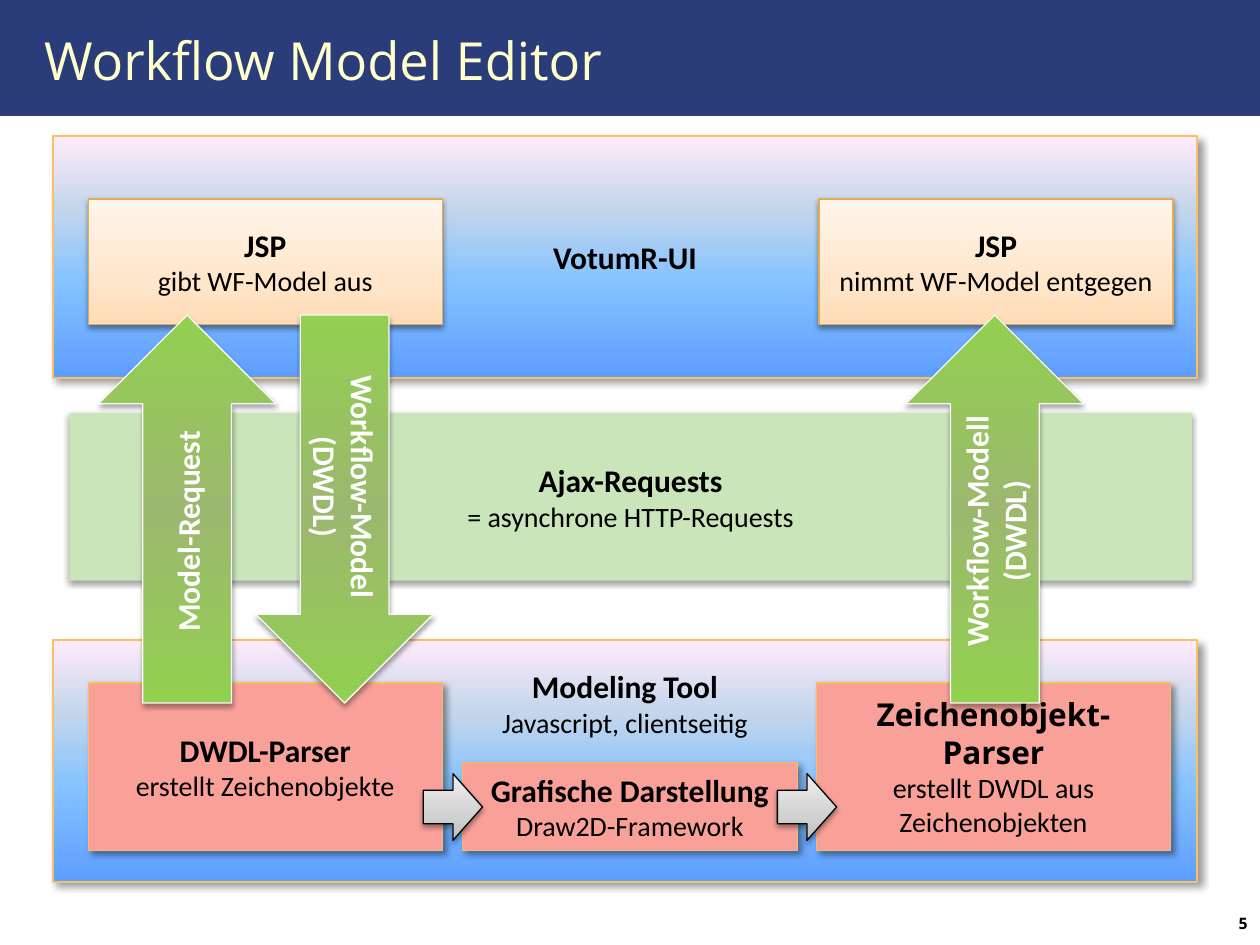
from lxml import etree
from pptx import Presentation
from pptx.dml.color import RGBColor
from pptx.enum.shapes import MSO_SHAPE
from pptx.enum.text import MSO_ANCHOR, PP_ALIGN
from pptx.oxml.ns import qn
from pptx.util import Inches, Pt

RECTANGLE, DOWN_ARROW, RIGHT_ARROW = (
    MSO_SHAPE.RECTANGLE, MSO_SHAPE.DOWN_ARROW, MSO_SHAPE.RIGHT_ARROW)
LEFT, CENTER, RIGHT = PP_ALIGN.LEFT, PP_ALIGN.CENTER, PP_ALIGN.RIGHT
MIDDLE, BOTTOM = MSO_ANCHOR.MIDDLE, MSO_ANCHOR.BOTTOM

# The slide is a grid of 100 columns by 75 rows
COLUMNS, ROWS, CELL = 100, 75, 0.1
BODY_FONT, TITLE_FONT = "Calibri", "Open Sans"
COLORS = {
    "bar": "2A3D7A", "title": "FFFFCC", "black": "000000", "white": "FFFFFF",
    "ajax": "C9E5B9", "parser": "F9A099", "parser_line": "F8BE5E",
    "panel_line": "FAC164", "jsp_line": "E1AC55", "flow_line": "F9F9F9",
}
# Gradient stops run from the bottom edge to the top edge
GRADIENTS = {
    "panel": [(0, "5E9EFF"), (40, "85C2FF"), (70, "C4D6EB"), (100, "FFEBFA")],
    "jsp": [(0, "FFDCB6"), (35, "FFE6CB"), (100, "FFF5EB")],
    "flow": [(0, "92D050"), (50, "9CB86E"), (100, "92D050")],
    "step": [(0, "BDBDBD"), (35, "D1D1D1"), (100, "EEEEEE")],
}
# Shadows: opacity in percent, blur and distance in points, direction in degrees
DIAGONAL, BELOW, FLOW_SHADOW = (40, 4, 3, 45), (38, 3.1, 1.6, 90), (35, 3.1, 1.8, 90)


def grid(*cells):
    return [Inches(cell * CELL) for cell in cells]


def inside(box, left, top, width, height):
    return box[0] + left, box[1] + top, width, height


def color(name):
    return RGBColor.from_string(COLORS[name])


def add_shadow(shape, opacity, blur, distance, direction):
    effects = shape.element.spPr.find(qn("a:effectLst"))
    shadow = etree.SubElement(
        effects, qn("a:outerShdw"), blurRad=str(Pt(blur)), dist=str(Pt(distance)),
        dir=str(direction * 60000), algn="ctr", rotWithShape="0")
    shade = etree.SubElement(shadow, qn("a:srgbClr"), val=COLORS["black"])
    etree.SubElement(shade, qn("a:alpha"), val=str(opacity * 1000))


def fill_gradient(shape, stops):
    shape.fill.gradient()
    shape.fill.gradient_angle = 90
    stop_list = shape.element.spPr.find(qn("a:gradFill")).find(qn("a:gsLst"))
    for stop in list(stop_list):
        stop_list.remove(stop)
    for position, value in stops:
        stop = etree.SubElement(stop_list, qn("a:gs"), pos=str(position * 1000))
        etree.SubElement(stop, qn("a:srgbClr"), val=value)


def add_block(slide, box, fill, line=None, shadow=None, kind=RECTANGLE):
    shape = slide.shapes.add_shape(kind, *grid(*box))
    shape.shadow.inherit = False
    if fill in GRADIENTS:
        fill_gradient(shape, GRADIENTS[fill])
    else:
        shape.fill.solid()
        shape.fill.fore_color.rgb = color(fill)
    if line:
        shape.line.color.rgb = color(line)
        shape.line.width = Pt(0.75)
    else:
        shape.line.fill.background()
    if shadow:
        add_shadow(shape, *shadow)
    return shape


def write(shape, *lines, sizes=(18, 16), bold=(True, False), fonts=(BODY_FONT, BODY_FONT),
          tone="black", align=CENTER, anchor=MIDDLE, wrap=True):
    frame = shape.text_frame
    frame.text = "\n".join(lines)
    frame.word_wrap = wrap
    frame.vertical_anchor = anchor
    for paragraph, size, strong, name in zip(frame.paragraphs, sizes, bold, fonts):
        paragraph.alignment = align
        font = paragraph.runs[0].font
        font.size, font.bold, font.name = Pt(size), strong, name
        font.color.rgb = color(tone)


def add_header(slide, box):
    bar = add_block(slide, box, "bar")
    title = slide.shapes.title
    title.element.addprevious(bar.element)  # the bar lies behind the title
    title.left, title.top, title.width, title.height = grid(*inside(box, 2.5, 1, 95.8, 6.7))
    write(title, "Workflow Model Editor", sizes=[30], bold=[False], fonts=[TITLE_FONT],
          tone="title", align=LEFT, anchor=BOTTOM)


def add_page_number(slide, box):
    number = slide.shapes.add_textbox(*grid(*box))
    write(number, "5", sizes=[9], fonts=[TITLE_FONT], align=RIGHT, anchor=BOTTOM)


def add_user_interface(slide, box):
    panel = add_block(slide, box, "panel", "panel_line", DIAGONAL)
    write(panel, "VotumR-UI", wrap=False)
    for left, task in ((2.8, "gibt WF-Model aus"), (60.8, "nimmt WF-Model entgegen")):
        page = add_block(slide, inside(box, left, 5, 28.1, 9.95), "jsp", "jsp_line", BELOW)
        write(page, "JSP", task)


def add_ajax_layer(slide, box):
    layer = add_block(slide, box, "ajax", shadow=BELOW)
    write(layer, "Ajax-Requests", "= asynchrone HTTP-Requests")


def add_modeling_tool(slide, box):
    panel = add_block(slide, box, "panel", "panel_line", DIAGONAL)
    write(panel, "Modeling Tool", "Javascript, clientseitig", wrap=False)
    panel.text_frame.margin_bottom = Inches(0.97)  # lifts the text above the middle box

    middle = inside(box, 32.5, 9.7, 26.6, 7)
    parts = (
        (inside(box, 2.8, 3.4, 28.1, 13.3), BODY_FONT,
         "DWDL-Parser", "erstellt Zeichenobjekte"),
        (inside(box, 60.6, 3.4, 28.1, 13.3), TITLE_FONT,
         "Zeichenobjekt-Parser", "erstellt DWDL aus Zeichenobjekten"),
        (middle, BODY_FONT, "Grafische Darstellung", "Draw2D-Framework"),
    )
    for part, heading_font, heading, detail in parts:
        shape = add_block(slide, part, "parser", "parser_line", DIAGONAL)
        write(shape, heading, detail, fonts=(heading_font, BODY_FONT))

    # Steps into and out of the middle box
    for left in (-3.1, middle[2] - 1.6):
        add_block(slide, inside(middle, left, 0.9, 4.7, 5.3), "step", "black", BELOW, RIGHT_ARROW)


def add_flows(slide, box):
    flows = (
        (0, 180, ["Model-Request"]),
        (12.5, 0, ["Workflow-Model", "(DWDL)"]),
        (64.1, 180, ["Workflow-Modell", "(DWDL)"]),
    )
    for left, rotation, lines in flows:
        arrow = add_block(slide, inside(box, left, 0, 14.1, box[3]), "flow", "flow_line",
                          FLOW_SHADOW, DOWN_ARROW)
        arrow.rotation = rotation
        write(arrow, *lines, sizes=(18, 18), bold=(True, True), tone="white")
        arrow.text_frame._txBody.bodyPr.set("vert", "vert")


def main():
    presentation = Presentation()
    presentation.slide_width, presentation.slide_height = grid(COLUMNS, ROWS)
    slide = presentation.slides.add_slide(presentation.slide_layouts[5])
    add_header(slide, (0, 0, COLUMNS, 9.2))
    add_user_interface(slide, (4.2, 10.8, 90.8, 19.2))
    add_ajax_layer(slide, (5.5, 32.8, 89.1, 13.3))
    add_modeling_tool(slide, (4.2, 50.8, 90.8, 19.2))
    add_flows(slide, (7.8, 25, 78.2, 30.8))
    add_page_number(slide, (94.2, 71.9, 5.8, 2.6))
    presentation.save("out.pptx")


if __name__ == "__main__":
    main()
